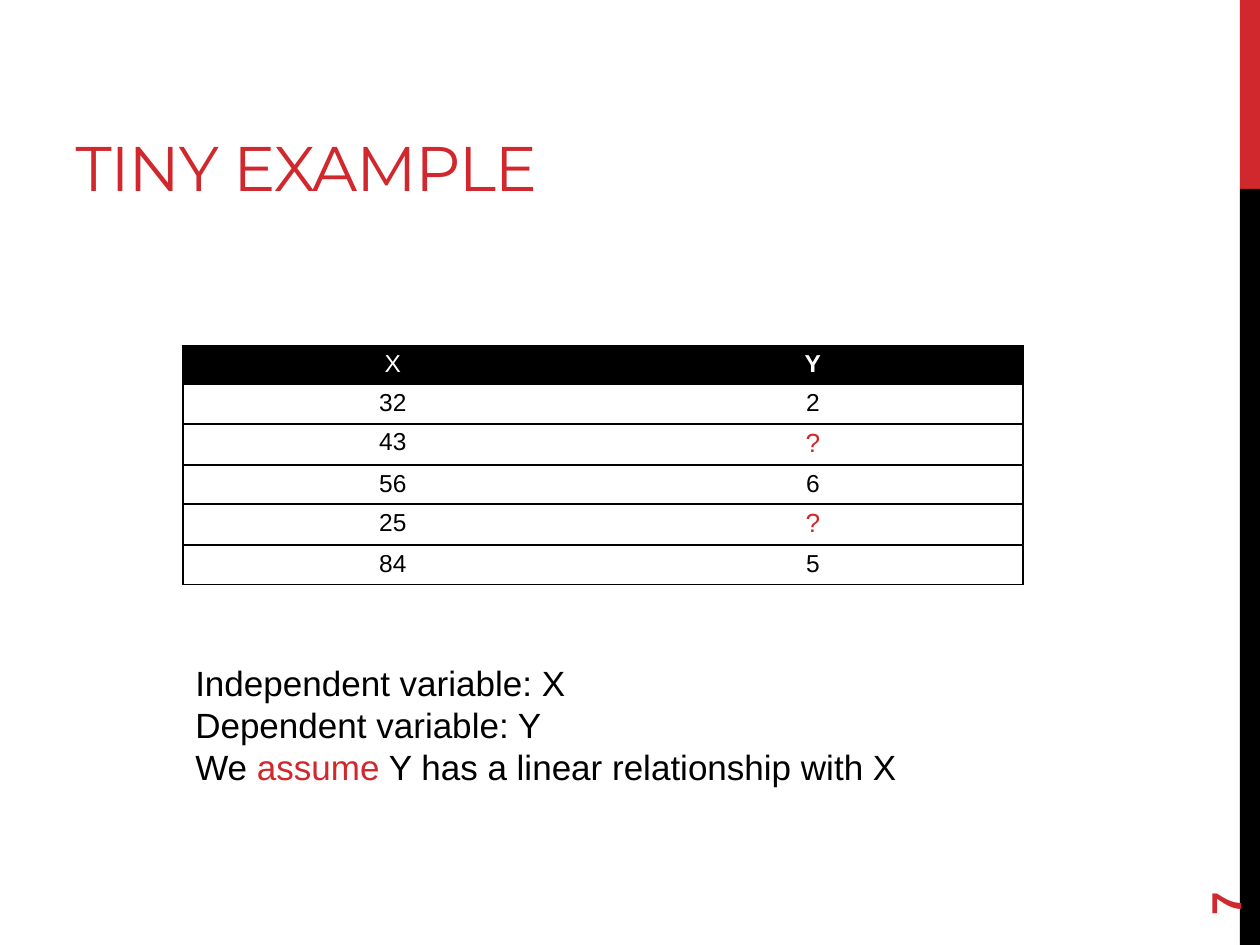
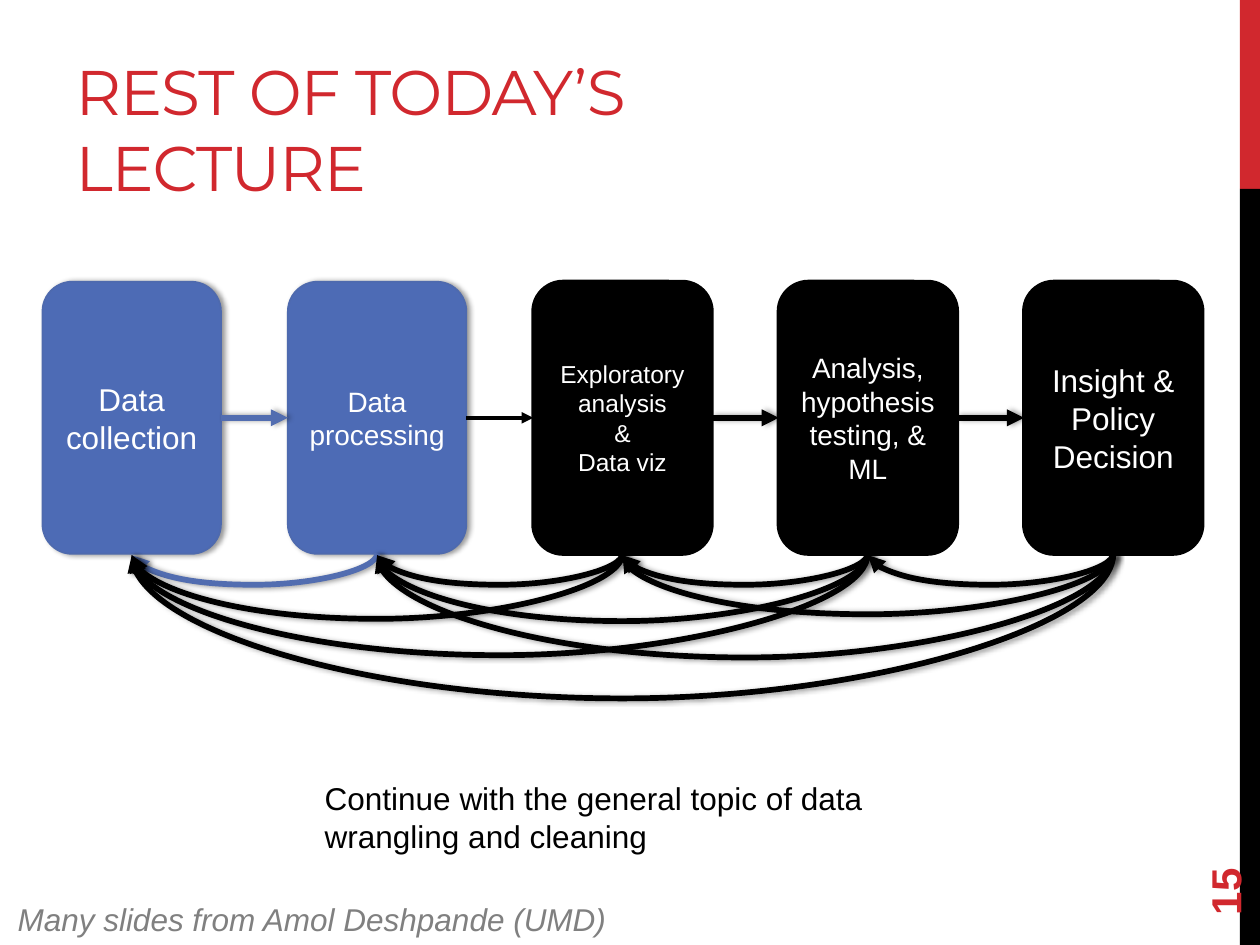
from lxml import etree
from pptx import Presentation
from pptx.dml.color import RGBColor
from pptx.enum.shapes import MSO_CONNECTOR, MSO_SHAPE
from pptx.enum.text import MSO_ANCHOR, MSO_AUTO_SIZE, PP_ALIGN
from pptx.oxml.ns import qn
from pptx.util import Pt

RECTANGLE, ROUNDED = MSO_SHAPE.RECTANGLE, MSO_SHAPE.ROUNDED_RECTANGLE
STRAIGHT, CURVE = MSO_CONNECTOR.STRAIGHT, MSO_CONNECTOR.CURVE
LEFT, CENTER = PP_ALIGN.LEFT, PP_ALIGN.CENTER
TOP, MIDDLE, BOTTOM = MSO_ANCHOR.TOP, MSO_ANCHOR.MIDDLE, MSO_ANCHOR.BOTTOM
NO_FIT = MSO_AUTO_SIZE.NONE

RED, BLACK, WHITE, GREY = "D1282E", "000000", "FFFFFF", "808080"
BLUE, BLUE_EDGE, BLUE_ARROW = "4D6BB5", "4E6AAE", "526DB0"


def rgb(hex_color):
    return RGBColor.from_string(hex_color)


def add_xml(parent, tag, **attributes):
    return etree.SubElement(parent, qn(tag), attributes)


class Deck:
    title_font = "Montserrat"
    body_font = "Arial"

    def __init__(self):
        self.presentation = Presentation()
        self.presentation.slide_width = Pt(720)
        self.presentation.slide_height = Pt(540)
        self.slide = None

    def start_slide(self, title, number):
        layout = self.presentation.slide_layouts[5]
        self.slide = self.presentation.slides.add_slide(layout)
        self.band(0, 108, RED)
        self.band(108, 432, BLACK)
        self.title(title)
        number_box = self.text_box(648, 463.7, 103.7, 28.8, [str(number)], 24, RED,
                                   bold=True, anchor=MIDDLE)
        number_box.rotation = 270

    def band(self, top, height, color):
        shape = self.slide.shapes.add_shape(RECTANGLE, Pt(708.5), Pt(top), Pt(11.5), Pt(height))
        shape.shadow.inherit = False
        shape.fill.solid()
        shape.fill.fore_color.rgb = rgb(color)
        shape.line.fill.background()

    def title(self, text):
        title = self.slide.shapes.title
        title.left, title.top, title.width, title.height = Pt(36), Pt(12), Pt(456), Pt(108)
        frame = title.text_frame
        frame.auto_size = NO_FIT
        frame.vertical_anchor = BOTTOM
        self.fill_text(frame, [text], 36, RED, font_name=self.title_font)
        frame.paragraphs[0].runs[0].font._element.set("spc", "-60")

    def fill_text(self, frame, lines, size, color, bold=False, italic=False,
                  align=LEFT, font_name=body_font):
        for index, line in enumerate(lines):
            paragraph = frame.paragraphs[0] if index == 0 else frame.add_paragraph()
            paragraph.alignment = align
            parts = (line,) if isinstance(line, str) else line
            for position, part in enumerate(parts):
                run = paragraph.add_run()
                run.text = part
                font = run.font
                font.name, font.size = font_name, Pt(size)
                font.bold, font.italic = bold, italic
                font.color.rgb = rgb(RED if position % 2 else color)

    def text_box(self, left, top, width, height, lines, size, color=BLACK,
                 bold=False, italic=False, anchor=TOP):
        box = self.slide.shapes.add_textbox(Pt(left), Pt(top), Pt(width), Pt(height))
        frame = box.text_frame
        frame.word_wrap = True
        frame.vertical_anchor = anchor
        self.fill_text(frame, lines, size, color, bold, italic)
        return box

    def effects(self, shape, shadow):
        effect_list = add_xml(shape._element.spPr, "a:effectLst")
        if shadow:
            outer = add_xml(effect_list, "a:outerShdw", blurRad="40000", dist="23000",
                            dir="0", rotWithShape="0")
            color = add_xml(outer, "a:srgbClr", val=BLACK)
            add_xml(color, "a:alpha", val="40000")

    def box(self, left, top, width, height, lines, size, fill, edge, edge_width, shadow):
        shape = self.slide.shapes.add_shape(ROUNDED, Pt(left), Pt(top), Pt(width), Pt(height))
        shape.fill.solid()
        shape.fill.fore_color.rgb = rgb(fill)
        shape.line.color.rgb = rgb(edge)
        shape.line.width = Pt(edge_width)
        self.effects(shape, shadow)
        shape.text_frame.vertical_anchor = MIDDLE
        self.fill_text(shape.text_frame, lines, size, WHITE, align=CENTER)

    def arrow(self, kind, start, end, color, width=3.25, shadow=True):
        connector = self.slide.shapes.add_connector(kind, *map(Pt, start + end))
        connector.line.color.rgb = rgb(color)
        connector.line.width = Pt(width)
        add_xml(connector._element.spPr.find(qn("a:ln")), "a:tailEnd", type="triangle")
        self.effects(connector, shadow)
        return connector

    def back_arrow(self, start_x, end_x, y, depth, color):
        middle, half_span = (start_x + end_x) / 2, (start_x - end_x) / 2
        connector = self.arrow(CURVE, (middle - 0.5, y - half_span),
                               (middle + 0.5, y + half_span), color)
        properties = connector._element.spPr
        properties.find(qn("a:xfrm")).set("rot", "5400000")
        adjustments = properties.find(qn("a:prstGeom")).find(qn("a:avLst"))
        add_xml(adjustments, "a:gd", name="adj1", fmla=f"val {round(depth * 100000)}")

    def cell_borders(self, cell, visible_sides):
        properties = cell._tc.get_or_add_tcPr()
        for side in "LRTB":
            line = add_xml(properties, f"a:ln{side}", w=str(Pt(1)))
            if side in visible_sides:
                add_xml(add_xml(line, "a:solidFill"), "a:srgbClr", val=BLACK)
            else:
                add_xml(line, "a:noFill")

    def table(self, left, top, width, rows):
        heights = [23.5 if "?" in row else 22 for row in rows]
        table = self.slide.shapes.add_table(len(rows), 2, Pt(left), Pt(top),
                                            Pt(width), Pt(sum(heights))).table
        table.first_row = table.horz_banding = False
        for row_index, row in enumerate(rows):
            table.rows[row_index].height = Pt(heights[row_index])
            header = row_index == 0
            for column_index, value in enumerate(row):
                cell = table.cell(row_index, column_index)
                cell.margin_left = cell.margin_right = Pt(5)
                cell.margin_top = cell.margin_bottom = Pt(2.75)
                self.cell_borders(cell, "TB" + "LR"[column_index])
                cell.fill.solid()
                cell.fill.fore_color.rgb = rgb(BLACK if header else WHITE)
                unknown = value == "?"
                color = WHITE if header else RED if unknown else BLACK
                self.fill_text(cell.text_frame, [value], 15 if unknown else 14, color,
                               bold=value == "Y", align=CENTER)


def build_example(deck):
    deck.start_slide("TINY EXAMPLE", 7)
    deck.table(104.5, 197.5, 480, [("X", "Y"), ("32", "2"), ("43", "?"),
                                   ("56", "6"), ("25", "?"), ("84", "5")])
    deck.text_box(104.5, 374.5, 481.5, 80, [
        "Independent variable: X",
        "Dependent variable: Y",
        ("We ", "assume", " Y has a linear relationship with X"),
    ], 20)


def build_pipeline(deck):
    deck.start_slide("REST OF TODAY’S LECTURE", 15)
    first_left, top, width, height, pitch = 24.3, 161, 102, 155.5, 140.22
    arrow_y, bottom = top + height / 2, top + height
    blue_box = (BLUE, BLUE_EDGE, 1, True)
    black_box = (BLACK, BLACK, 2.25, False)
    stages = [
        (["Data collection"], 18, blue_box, []),
        (["Data processing"], 16, blue_box, [18]),
        (["Exploratory analysis", "&", "Data viz"], 14, black_box, [18, 37.64]),
        (["Analysis, hypothesis testing, & ML"], 16, black_box, [18, 38.95, 58.58]),
        (["Insight & Policy Decision"], 18, black_box, [18, 35.02, 59.89, 83.46]),
    ]
    for index, (lines, size, box_style, depths) in enumerate(stages):
        left = first_left + index * pitch
        deck.box(left, top, width, height, lines, size, *box_style)
        color = BLUE_ARROW if index == 1 else BLACK
        if index:
            thin = index == 2
            deck.arrow(STRAIGHT, (left - pitch + width, arrow_y), (left, arrow_y), color,
                       2.25 if thin else 3.25, not thin)
        center = left + width / 2
        for steps, depth in enumerate(depths, start=1):
            deck.back_arrow(center, center - steps * pitch, bottom + 0.3, depth, color)
    deck.text_box(178.5, 441.5, 387.5, 72.5,
                  ["Continue with the general topic of data wrangling and cleaning"], 18)
    deck.text_box(3, 511, 387.5, 29, ["Many slides from Amol Deshpande (UMD)"], 18, GREY,
                  italic=True)


def main():
    deck = Deck()
    build_example(deck)
    build_pipeline(deck)
    deck.presentation.save("out.pptx")


if __name__ == "__main__":
    main()
